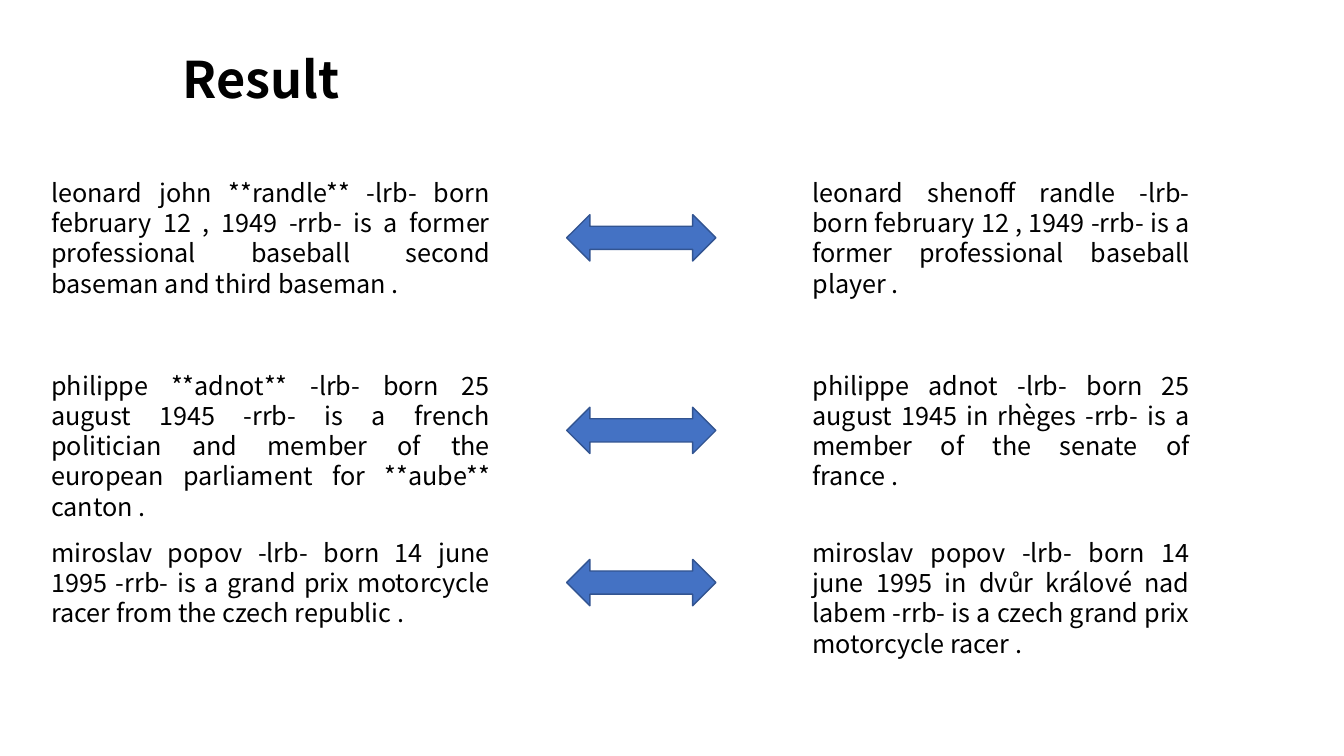
from pptx import Presentation
from pptx.dml.color import RGBColor
from pptx.enum.shapes import MSO_SHAPE
from pptx.enum.text import MSO_ANCHOR, MSO_AUTO_SIZE, PP_ALIGN
from pptx.util import Inches, Pt

TITLE = "Result"
PAIRS = [
    (1.71, 2.13,
     "leonard john **randle** -lrb- born february 12 , 1949 -rrb- is a former professional baseball second baseman and third baseman .",
     "leonard shenoff randle -lrb- born february 12 , 1949 -rrb- is a former professional baseball player ."),
    (3.62, 4.04,
     "philippe **adnot** -lrb- born 25 august 1945 -rrb- is a french politician and member of the european parliament for **aube** canton .",
     "philippe adnot -lrb- born 25 august 1945 in rhèges -rrb- is a member of the senate of france ."),
    (5.28, 5.55,
     "miroslav popov -lrb- born 14 june 1995 -rrb- is a grand prix motorcycle racer from the czech republic .",
     "miroslav popov -lrb- born 14 june 1995 in dvůr králové nad labem -rrb- is a czech grand prix motorcycle racer ."),
]
COLUMNS = [(0.41, 4.55), (7.96, 3.94)]
TEXT_HEIGHT = 1.31
ARROW_LEFT, ARROW_WIDTH, ARROW_HEIGHT = 5.62, 1.48, 0.46
FONT = "Noto Sans CJK SC"
COLORS = {"text": "000000", "arrow": "4472C4", "outline": "325491"}


def color(name):
    return RGBColor.from_string(COLORS[name])


def write(box, text, size, pitch, bold=False, align=PP_ALIGN.LEFT):
    frame = box.text_frame
    frame.word_wrap = True
    frame.auto_size = MSO_AUTO_SIZE.NONE
    frame.vertical_anchor = MSO_ANCHOR.TOP
    para = frame.paragraphs[0]
    para.alignment = align
    para.line_spacing = Pt(pitch)
    span = para.add_run()
    span.text = text
    span.font.name = FONT
    span.font.size = Pt(size)
    span.font.bold = bold
    span.font.color.rgb = color("text")


def add_arrow(page, top):
    arrow = page.shapes.add_shape(
        MSO_SHAPE.LEFT_RIGHT_ARROW, Inches(ARROW_LEFT), Inches(top),
        Inches(ARROW_WIDTH), Inches(ARROW_HEIGHT))
    arrow.shadow.inherit = False
    arrow.fill.solid()
    arrow.fill.fore_color.rgb = color("arrow")
    arrow.line.color.rgb = color("outline")
    arrow.line.width = Pt(1)


def main():
    deck = Presentation()
    deck.slide_width, deck.slide_height = Inches(13.33), Inches(7.5)
    page = deck.slides.add_slide(deck.slide_layouts[5])

    title = page.shapes.title
    title.left, title.top = Inches(1.71), Inches(0.42)
    title.width, title.height = Inches(2.26), Inches(0.71)
    write(title, TITLE, size=36, pitch=44, bold=True)

    for text_top, arrow_top, *sentences in PAIRS:
        for (left, width), sentence in zip(COLUMNS, sentences):
            box = page.shapes.add_textbox(
                Inches(left), Inches(text_top), Inches(width), Inches(TEXT_HEIGHT))
            write(box, sentence, size=18, pitch=21.6, align=PP_ALIGN.JUSTIFY)
        add_arrow(page, arrow_top)

    deck.save("out.pptx")


if __name__ == "__main__":
    main()
